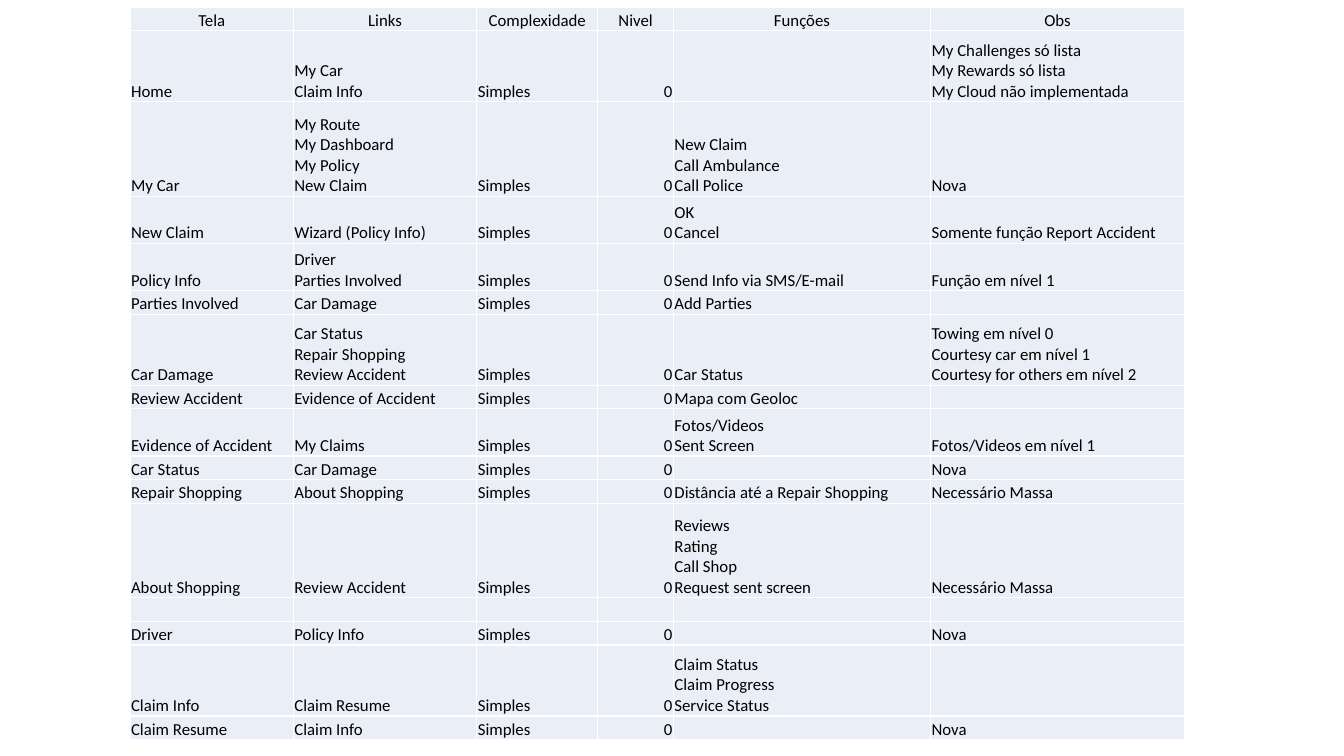
"""Build a slide with the table of app screens, their links and functions."""
import dataclasses
import typing

import lxml.etree
import pptx
import pptx.dml.color
import pptx.enum.text
import pptx.oxml.ns
import pptx.slide
import pptx.table
import pptx.util

Inches = pptx.util.Inches
Align = pptx.enum.text.PP_ALIGN
RGB = pptx.dml.color.RGBColor
qn = pptx.oxml.ns.qn


@dataclasses.dataclass(frozen=True)
class Theme:
    font: str = "Calibri"
    size: int = 12
    text: str = "000000"
    fill: str = "EAEFF7"
    border: str = "FFFFFF"
    border_width: int = 1
    inset: float = 0.01


@dataclasses.dataclass(frozen=True)
class Column:
    title: str
    width: float
    align: Align = Align.LEFT


@dataclasses.dataclass(frozen=True)
class Screen:
    name: str = ""
    links: str = ""
    functions: str = ""
    notes: str = ""
    complexity: str = "Simples"
    level: str = "0"

    def cells(self) -> list[str]:
        return [self.name, self.links, self.complexity, self.level, self.functions, self.notes]


THEME = Theme()
LEFT, TOP, HEIGHT = 1.29, 0.07, 7.27
COLUMNS = [
    Column("Tela", 1.62),
    Column("Links", 1.82),
    Column("Complexidade", 1.2),
    Column("Nivel", 0.75, Align.RIGHT),
    Column("Funções", 2.55),
    Column("Obs", 2.52),
]
SCREENS = [
    Screen("Home", "My Car\nClaim Info", "",
           "My Challenges só lista\nMy Rewards só lista\nMy Cloud não implementada"),
    Screen("My Car", "My Route\nMy Dashboard\nMy Policy\nNew Claim",
           "New Claim\nCall Ambulance\nCall Police", "Nova"),
    Screen("New Claim", "Wizard (Policy Info)", "OK\nCancel", "Somente função Report Accident"),
    Screen("Policy Info", "Driver\nParties Involved", "Send Info via SMS/E-mail",
           "Função em nível 1"),
    Screen("Parties Involved", "Car Damage", "Add Parties"),
    Screen("Car Damage", "Car Status\nRepair Shopping\nReview Accident", "Car Status",
           "Towing em nível 0\nCourtesy car em nível 1\nCourtesy for others em nível 2"),
    Screen("Review Accident", "Evidence of Accident", "Mapa com Geoloc"),
    Screen("Evidence of Accident", "My Claims", "Fotos/Videos\nSent Screen",
           "Fotos/Videos em nível 1"),
    Screen("Car Status", "Car Damage", "", "Nova"),
    Screen("Repair Shopping", "About Shopping", "Distância até a Repair Shopping",
           "Necessário Massa"),
    Screen("About Shopping", "Review Accident",
           "Reviews\nRating\nCall Shop\nRequest sent screen", "Necessário Massa"),
    Screen(complexity="", level=""),
    Screen("Driver", "Policy Info", "", "Nova"),
    Screen("Claim Info", "Claim Resume", "Claim Status\nClaim Progress\nService Status"),
    Screen("Claim Resume", "Claim Info", "", "Nova"),
]


def write_text(tf: typing.Any, text: str, *, align: Align, size: int = THEME.size,
               font: str = THEME.font, color: str = THEME.text) -> None:
    p = tf.paragraphs[0]
    p.alignment = align
    for i, line in enumerate(text.split("\n") if text else []):
        if i:
            p.add_line_break()
        r = p.add_run()
        r.text = line
        r.font.size = pptx.util.Pt(size)
        r.font.name = font
        r.font.color.rgb = RGB.from_string(color)
    for br in p._p.findall(qn("a:br")):
        lxml.etree.SubElement(br, qn("a:rPr"), sz=str(size * 100))
    lxml.etree.SubElement(p._p, qn("a:endParaRPr"), sz=str(size * 100))


def style_cell(cell: pptx.table._Cell) -> None:
    cell.margin_left = cell.margin_right = cell.margin_top = Inches(THEME.inset)
    cell.margin_bottom = 0
    cell.vertical_anchor = pptx.enum.text.MSO_ANCHOR.BOTTOM
    tc_pr = cell._tc.get_or_add_tcPr()
    for side in ("lnL", "lnR", "lnT", "lnB"):
        ln = lxml.etree.SubElement(tc_pr, qn(f"a:{side}"),
                                   w=str(pptx.util.Pt(THEME.border_width)))
        fill = lxml.etree.SubElement(ln, qn("a:solidFill"))
        lxml.etree.SubElement(fill, qn("a:srgbClr"), val=THEME.border)
    cell.fill.solid()
    cell.fill.fore_color.rgb = RGB.from_string(THEME.fill)


def add_screen_table(s: pptx.slide.Slide) -> None:
    rows = [[c.title for c in COLUMNS]] + [screen.cells() for screen in SCREENS]
    line_counts = [max(text.count("\n") + 1 for text in row) for row in rows]
    line_height = HEIGHT / sum(line_counts)
    width = sum(c.width for c in COLUMNS)
    table = s.shapes.add_table(len(rows), len(COLUMNS), Inches(LEFT), Inches(TOP),
                               Inches(width), Inches(HEIGHT)).table
    table.first_row = table.horz_banding = False
    for i, column in enumerate(COLUMNS):
        table.columns[i].width = Inches(column.width)
    for i, (row, lines) in enumerate(zip(rows, line_counts)):
        table.rows[i].height = Inches(lines * line_height)
        for j, text in enumerate(row):
            cell = table.cell(i, j)
            style_cell(cell)
            write_text(cell.text_frame, text, align=COLUMNS[j].align if i else Align.CENTER)


def main() -> None:
    prs = pptx.Presentation()
    prs.slide_width, prs.slide_height = Inches(13.33), Inches(7.5)
    add_screen_table(prs.slides.add_slide(prs.slide_layouts[6]))
    prs.save("out.pptx")


if __name__ == "__main__":
    main()
